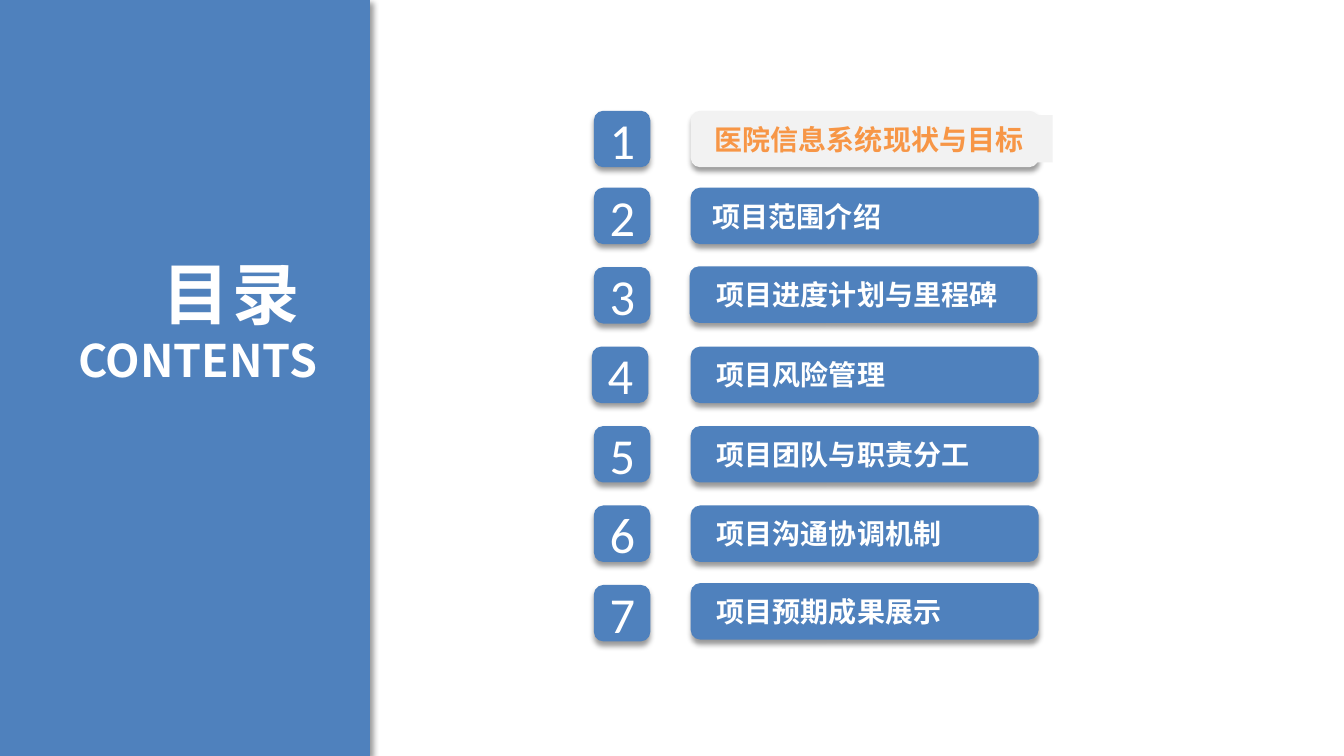
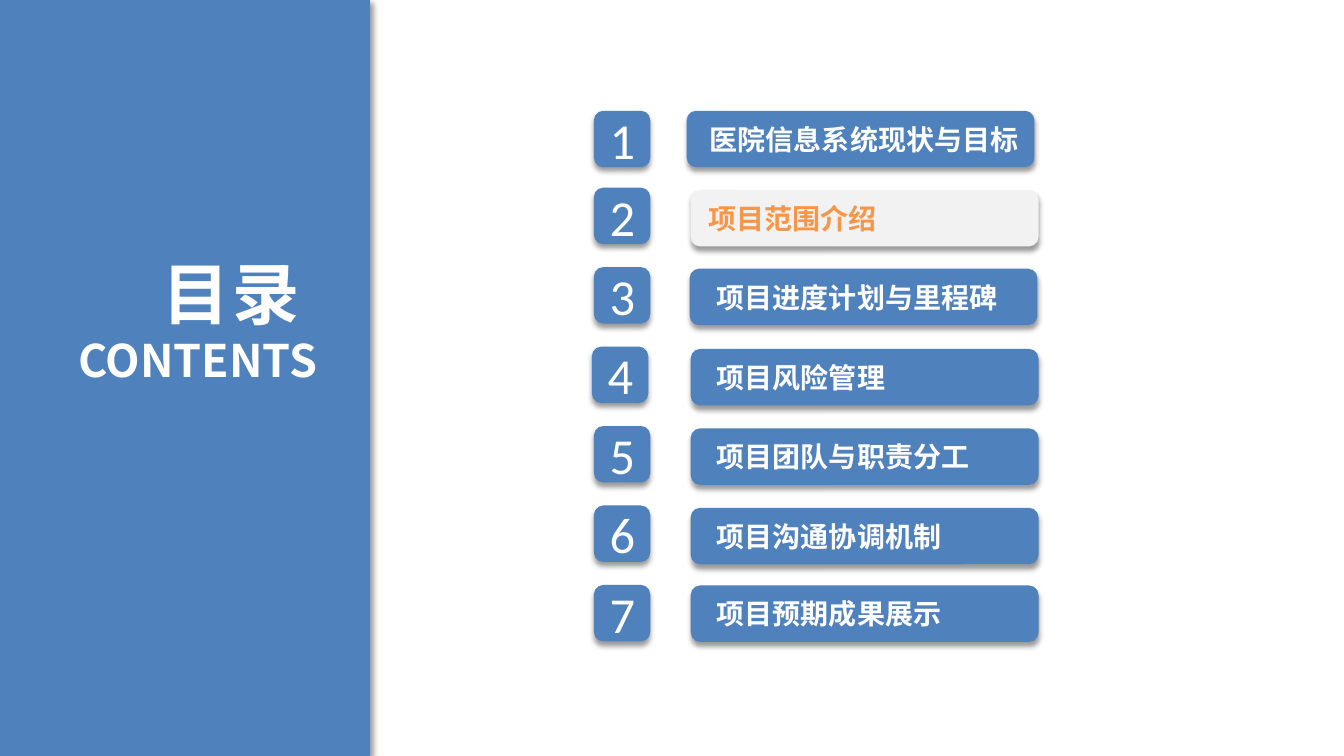
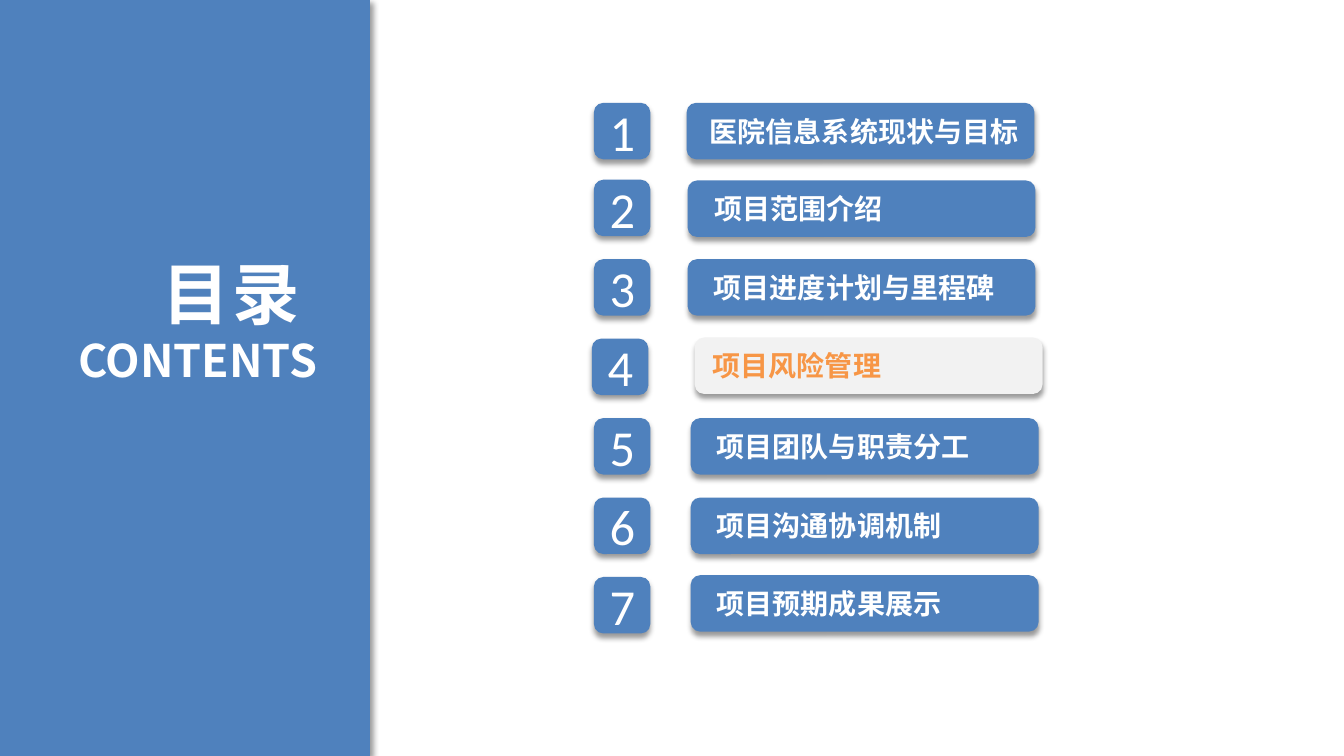
from dataclasses import dataclass, field

from lxml.etree import SubElement
from pptx import Presentation
from pptx.dml.color import RGBColor as RGB
from pptx.enum.shapes import MSO_SHAPE as Shape
from pptx.enum.text import MSO_ANCHOR as Anchor, MSO_AUTO_SIZE as Fit, PP_ALIGN as Align
from pptx.oxml.ns import qn
from pptx.util import Inches, Pt


@dataclass(frozen=True)
class Theme:
    blue: str = "4F81BD"
    pale: str = "F2F2F2"
    orange: str = "F79646"
    white: str = "FFFFFF"
    latin: str = "Calibri"
    han: str = "Noto Sans CJK SC"
    head: int = 48
    sub: int = 32
    digit: int = 36
    label: int = 20


@dataclass(frozen=True)
class Row:
    """Left edges of bar and label, and the bar's drop below its badge, in percent."""
    bar: float = 51.39
    text: float = 52.36
    drop: float = 0


@dataclass(frozen=True)
class Page:
    """Agenda with one active topic; rows override the standard layout."""
    top: float
    active: int
    rows: dict = field(default_factory=dict)
    drop: float = 0
    plate: float = 23.03


T = Theme()
WIDE, HIGH = Inches(13.33), Inches(7.5)

# Shares of the slide in percent: across for x and widths, down for y and heights
BADGE_X, BADGE_W, ROW_H = 44.19, 4.2, 7.47
BAR_W, LABEL_W, LABEL_H, LABEL_DY = 25.88, 25.1, 6.27, 0.58
FIRST, PITCH = 10.17, 10.51
SHIFT = {4: -0.15}

TOPICS = ["医院信息系统现状与目标", "项目范围介绍", "项目进度计划与里程碑", "项目风险管理",
          "项目团队与职责分工", "项目沟通协调机制", "项目预期成果展示"]
THIRD, LAST = Row(bar=51.31, drop=-0.1), Row(drop=-0.24)
LEAD = Row(51.09, 51.84)
PAGES = [
    Page(14.65, 1, {1: Row(text=52.21), 2: Row(text=52.06), 3: THIRD, 7: LAST}, plate=26.11),
    Page(14.65, 2, {1: LEAD, 2: Row(text=51.76), 3: THIRD, 7: LAST}, drop=0.31),
    Page(13.6, 4, {1: LEAD, 2: Row(51.16, 52.21, 0.1), 3: Row(51.16, 52.14),
                   4: Row(51.69, 52.06, -0.15), 7: LAST}),
]


def area(x, y, w, h):
    return [int(part * full / 100) for part, full in zip((x, y, w, h), (WIDE, HIGH) * 2)]


def shade(shape, angle):
    fx = SubElement(shape._element.spPr, qn("a:effectLst"))
    outer = SubElement(fx, qn("a:outerShdw"), blurRad=str(Pt(4)), dist=str(Pt(3)),
                       dir=str(angle * 60000), algn="t", rotWithShape="0")
    tone = SubElement(outer, qn("a:srgbClr"), val="000000")
    SubElement(tone, qn("a:alpha"), val="40000")


def block(shapes, kind, box, color, angle=None):
    shape = shapes.add_shape(kind, *area(*box))
    shape.fill.solid()
    shape.fill.fore_color.rgb = RGB.from_string(color)
    shape.line.fill.background()
    if angle is None:
        shape.shadow.inherit = False
    else:
        shade(shape, angle)
    return shape


def frame(shape, anchor=Anchor.TOP, fit=Fit.SHAPE_TO_FIT_TEXT):
    text = shape.text_frame
    text.word_wrap = True
    text.auto_size = fit
    text.vertical_anchor = anchor
    text.margin_left = text.margin_right = Inches(0.13)
    text.margin_top = text.margin_bottom = Inches(0.07)
    return text


def write(para, text, size, color=T.white, face=T.han, bold=True, align=Align.LEFT, gap=0):
    para.alignment = align
    run = para.add_run()
    run.text = text
    font = run.font
    font.size, font.bold, font.name = Pt(size), bold, face
    font.color.rgb = RGB.from_string(color)
    props = run._r.get_or_add_rPr()
    SubElement(props, qn("a:ea"), typeface=face)
    if gap:
        props.set("spc", str(gap * 100))


def panel(slide):
    block(slide.shapes, Shape.RECTANGLE, (-0.9, 0, 28.43, 100), T.blue, 45)
    text = frame(slide.shapes.add_textbox(*area(1.58, 32.4, 23.03, 19.73)))
    write(text.paragraphs[0], "目录 ", T.head, align=Align.RIGHT, gap=2)
    write(text.add_paragraph(), "CONTENTS", T.sub, align=Align.RIGHT)


def badge(slide, num, y):
    x = BADGE_X + SHIFT.get(num, 0)
    shape = block(slide.shapes, Shape.ROUNDED_RECTANGLE, (x, y, BADGE_W, ROW_H), T.blue, 90)
    text = frame(shape, Anchor.MIDDLE, Fit.NONE)
    write(text.paragraphs[0], str(num), T.digit, face=T.latin, bold=False, align=Align.CENTER)


def bar(slide, topic, row, y, plate=None):
    """Draw one topic bar; a plate width marks it as the active one."""
    shapes = slide.shapes.add_group_shape().shapes
    block(shapes, Shape.ROUNDED_RECTANGLE, (row.bar, y, BAR_W, ROW_H),
          T.pale if plate else T.blue, 90)
    box = (row.text, y + LABEL_DY, plate or LABEL_W, LABEL_H)
    if plate:
        label = block(shapes, Shape.RECTANGLE, box, T.pale)
    else:
        label = shapes.add_textbox(*area(*box))
    write(frame(label).paragraphs[0], topic, T.label, T.orange if plate else T.white)


def agenda(deck, page):
    slide = deck.slides.add_slide(deck.slide_layouts[6])
    panel(slide)
    for num, topic in enumerate(TOPICS, 1):
        y = page.top + (FIRST + PITCH * (num - 2) if num > 1 else 0)
        row = page.rows.get(num, Row())
        drop = row.drop + (page.drop if num > 1 else 0)
        badge(slide, num, y)
        bar(slide, topic, row, y + drop, page.plate if num == page.active else None)


def main():
    deck = Presentation()
    deck.slide_width, deck.slide_height = WIDE, HIGH
    for page in PAGES:
        agenda(deck, page)
    deck.save("out.pptx")


if __name__ == "__main__":
    main()
